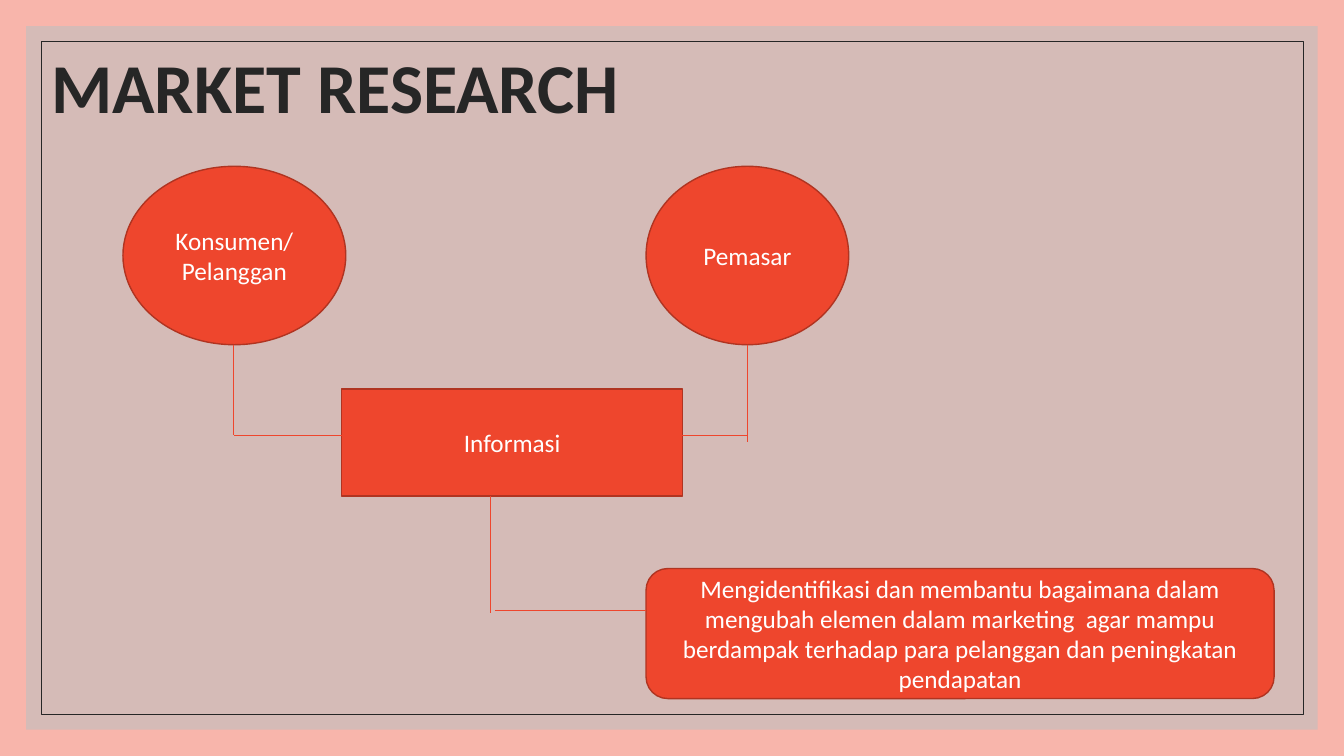
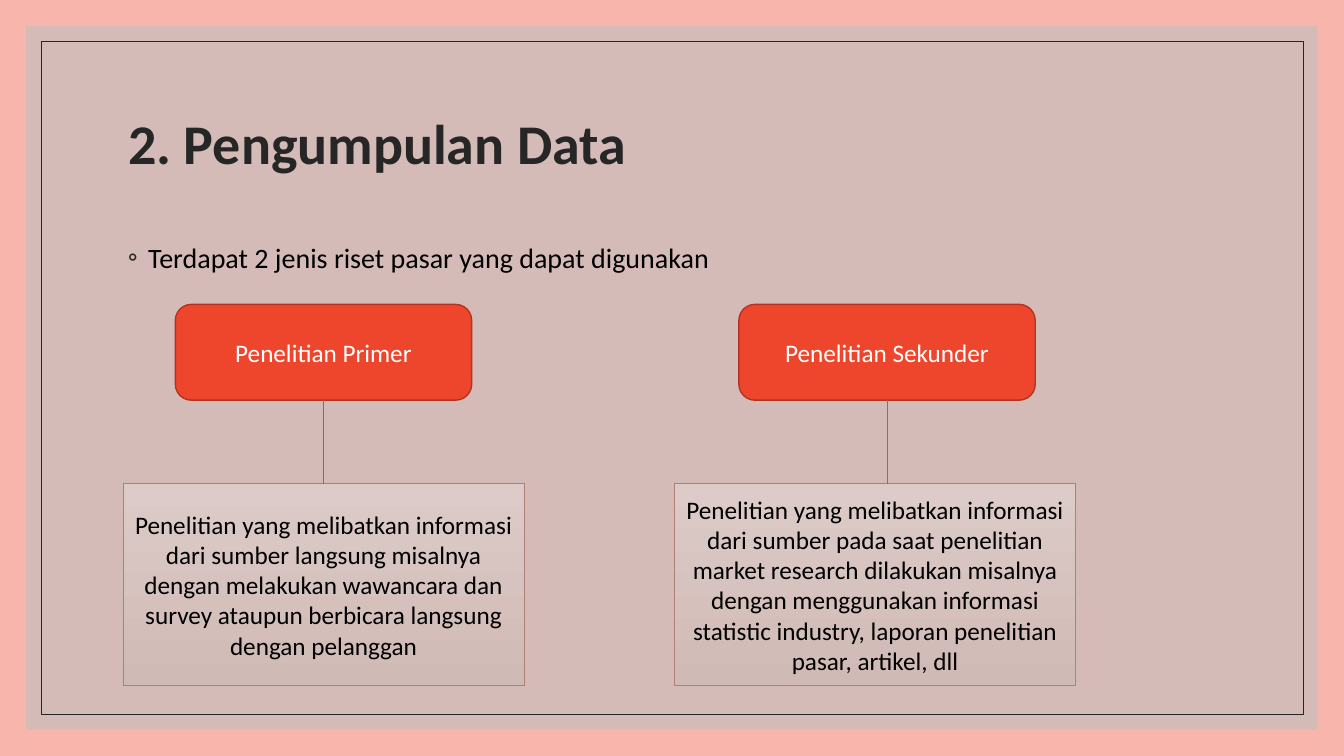
from lxml import etree
from pptx import Presentation, util as u
from pptx.dml.color import RGBColor
from pptx.enum import shapes, text
from pptx.oxml import ns

PINK = RGBColor(0xF8, 0xB5, 0xAB)
GREY = RGBColor(0xBF, 0xBF, 0xBF)
DARK = RGBColor(0x26, 0x26, 0x26)
RED = RGBColor(0xEE, 0x46, 0x2D)
RED_EDGE = RGBColor(0xB0, 0x34, 0x21)
CARD_TOP = RGBColor(0xDC, 0xCB, 0xC8)
CARD_END = RGBColor(0xD0, 0xBA, 0xB5)
CARD_EDGE = RGBColor(0xAF, 0x80, 0x73)
WHITE = RGBColor(0xFF, 0xFF, 0xFF)
BLACK = RGBColor(0, 0, 0)
FONT = "Calibri"
SHAPE = shapes.MSO_SHAPE

prs = Presentation()
prs.slide_width, prs.slide_height = u.Inches(13.33), u.Inches(7.5)
COL, ROW = prs.slide_width / 100, prs.slide_height / 100


def grid(x, y, w, h):
    return int(x * COL), int(y * ROW), int(w * COL), int(h * ROW)


def add_box(s, kind, place, edge, width, fill=None, label="", color=WHITE):
    sp = s.shapes.add_shape(kind, *grid(*place))
    sp.shadow.inherit = False
    sp.line.color.rgb, sp.line.width = edge, u.Pt(width)
    if fill is None:
        sp.fill.background()
    else:
        sp.fill.solid()
        sp.fill.fore_color.rgb = fill
    if label:
        tf = sp.text_frame
        tf.word_wrap = True
        tf.vertical_anchor = text.MSO_ANCHOR.MIDDLE
        p = tf.paragraphs[0]
        p.text = label
        p.alignment = text.PP_ALIGN.CENTER
        f = p.runs[0].font
        f.name, f.size, f.color.rgb = FONT, u.Pt(18), color
    return sp


layout = prs.slide_layouts[5]
bg = prs.slide_master.background.fill
bg.solid()
bg.fore_color.rgb = PINK

titles = [
    ("MARKET RESEARCH", 50, (3.07, 2, 82.5, 20)),
    ("2. Pengumpulan Data", 40, (8.78, 9.33, 82.5, 20)),
]
for name, size, place in titles:
    s = prs.slides.add_slide(layout)
    title = s.shapes.title
    title.left, title.top, title.width, title.height = grid(*place)
    tf = title.text_frame
    tf.text = name
    tf.auto_size = text.MSO_AUTO_SIZE.NONE
    tf.vertical_anchor = text.MSO_ANCHOR.MIDDLE
    p = tf.paragraphs[0]
    p.alignment, p.line_spacing = text.PP_ALIGN.LEFT, 0.9
    f = p.runs[0].font
    f.name, f.size, f.bold, f.color.rgb = FONT, u.Pt(size), True, DARK

research, data = prs.slides

panel = add_box(research, SHAPE.RECTANGLE, (1.95, 3.47, 96.1, 93.06), GREY, 0.5, GREY)
panel.line.fill.background()
rgb = panel._element.spPr.find(".//" + ns.qn("a:srgbClr"))
etree.SubElement(rgb, ns.qn("a:alpha"), val="60000")
frame = add_box(research, SHAPE.RECTANGLE, (3.05, 5.47, 93.9, 89.06), DARK, 0.5)
for depth, sp in enumerate((panel, frame)):
    layout.shapes.element.insert(2 + depth, sp._element)

nodes = [
    (SHAPE.OVAL, (9.15, 22, 16.58, 23.6), "Konsumen/Pelanggan"),
    (SHAPE.OVAL, (48.07, 22, 15.08, 23.6), "Pemasar"),
    (SHAPE.RECTANGLE, (25.43, 51.47, 25.35, 14.13), "Informasi"),
    (SHAPE.ROUNDED_RECTANGLE, (48.07, 75.2, 46.73, 17.2),
     "Mengidentifikasi dan membantu bagaimana dalam mengubah elemen dalam marketing  "
     "agar mampu berdampak terhadap para pelanggan dan peningkatan pendapatan"),
]
for kind, place, label in nodes:
    add_box(research, kind, place, RED_EDGE, 1, RED, label)

links = [
    (research, 17.4, 45.6, 17.4, 57.6),
    (research, 55.62, 45.6, 55.62, 58.53),
    (research, 17.4, 57.6, 25.43, 57.6),
    (research, 55.62, 57.6, 50.78, 57.6),
    (research, 36.45, 65.6, 36.45, 81.07),
    (research, 36.83, 80.8, 48.07, 80.8),
]

intro = data.shapes.add_textbox(*grid(8.78, 30.67, 82.5, 8))
tf = intro.text_frame
tf.word_wrap = True
p = tf.paragraphs[0]
p.text = "Terdapat 2 jenis riset pasar yang dapat digunakan"
p.line_spacing, p.space_before = 1.1, u.Pt(9)
f = p.runs[0].font
f.name, f.size, f.color.rgb = FONT, u.Pt(20), BLACK
pPr = p._p.get_or_add_pPr()
pPr.set("marL", str(u.Inches(0.2)))
pPr.set("indent", str(-u.Inches(0.2)))
color = etree.SubElement(pPr, ns.qn("a:buClr"))
etree.SubElement(color, ns.qn("a:srgbClr"), val=str(DARK))
etree.SubElement(pPr, ns.qn("a:buFont"), typeface=FONT)
etree.SubElement(pPr, ns.qn("a:buChar"), char="◦")

kinds = [
    (13.05, 9.15, "Penelitian Primer",
     "Penelitian yang melibatkan informasi dari sumber langsung misalnya dengan "
     "melakukan wawancara dan survey ataupun berbicara langsung dengan pelanggan"),
    (54.98, 50.18, "Penelitian Sekunder",
     "Penelitian yang melibatkan informasi dari sumber pada saat penelitian market "
     "research dilakukan misalnya dengan menggunakan informasi statistic industry, "
     "laporan penelitian pasar, artikel, dll"),
]
for head_x, card_x, head, detail in kinds:
    add_box(data, SHAPE.ROUNDED_RECTANGLE, (head_x, 40.27, 22.05, 12.67),
            RED_EDGE, 1, RED, head)
    card = add_box(data, SHAPE.RECTANGLE, (card_x, 64, 29.85, 26.67),
                   CARD_EDGE, 0.5, CARD_TOP, detail, BLACK)
    card.fill.gradient()
    card.fill.gradient_angle = 270
    for stop, shade in zip(card.fill.gradient_stops, (CARD_TOP, CARD_END)):
        stop.color.rgb = shade
    middle = head_x + 22.05 / 2
    links.append((data, middle, 52.94, middle, 64))

for s, *ends in links:
    c = s.shapes.add_connector(shapes.MSO_CONNECTOR.STRAIGHT, *grid(*ends))
    c.line.color.rgb, c.line.width = RED, u.Pt(0.5)
    etree.SubElement(c._element.spPr, ns.qn("a:effectLst"))

prs.save("out.pptx")
